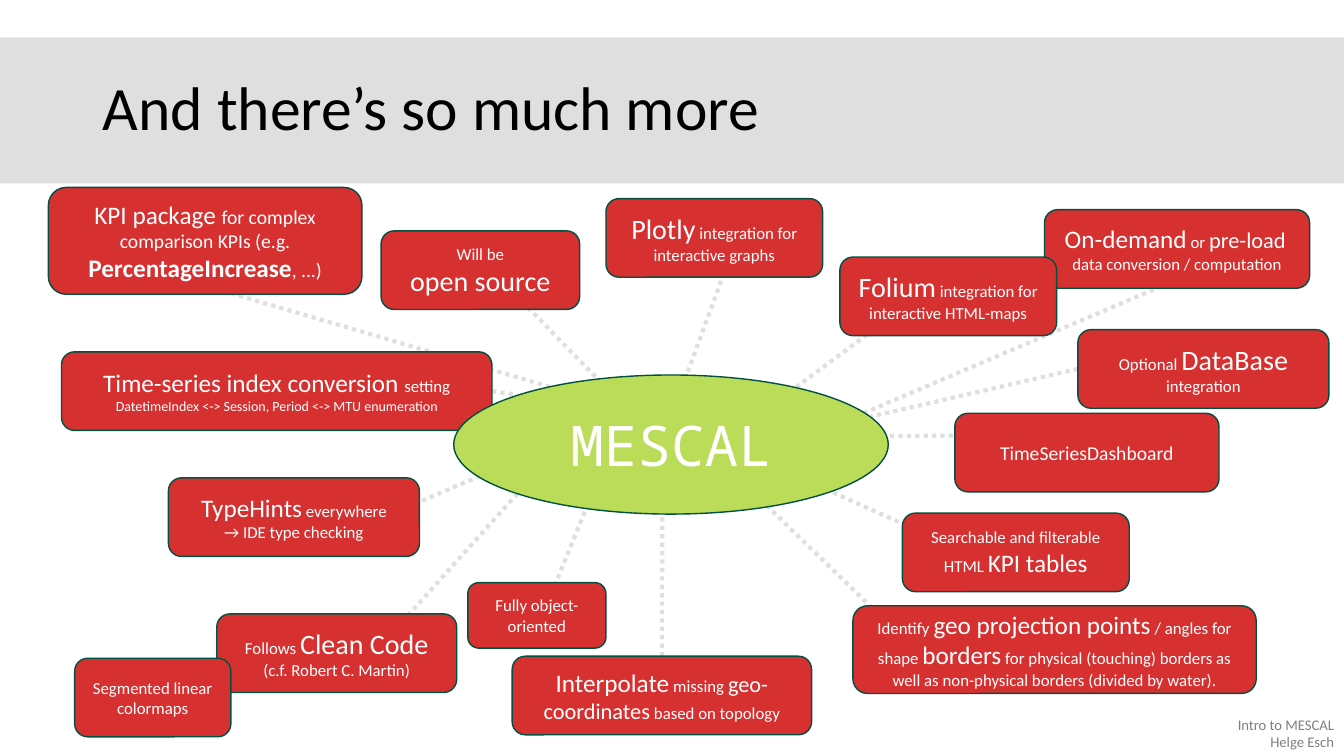
from copy import deepcopy
from dataclasses import dataclass
from typing import Optional

from lxml import etree
from pptx import Presentation
from pptx.dml.color import RGBColor
from pptx.enum import dml, shapes, text
from pptx.oxml.ns import qn
from pptx.util import Inches, Pt


# Theme
@dataclass(frozen=True)
class Theme:
    band: RGBColor = RGBColor(0xDF, 0xDF, 0xDF)
    topic: RGBColor = RGBColor(0xD6, 0x30, 0x30)
    hub: RGBColor = RGBColor(0xBA, 0xDC, 0x58)
    outline: RGBColor = RGBColor(0x00, 0x51, 0x40)
    light: RGBColor = RGBColor(0xFF, 0xFF, 0xFF)
    dark: RGBColor = RGBColor(0, 0, 0)
    muted: RGBColor = RGBColor(0x80, 0x80, 0x80)
    font: str = "Calibri"
    mono: str = "Noto Sans Mono"
    title: float = 44
    hub_size: float = 40
    huge: float = 20
    large: float = 18
    medium: float = 16
    normal: float = 14
    small: float = 12
    footer: float = 10.5
    tiny: float = 10


THEME = Theme()


# Content model
@dataclass(frozen=True)
class Span:
    words: str
    size: float = THEME.small
    bold: bool = False


@dataclass(frozen=True)
class Spoke:
    start: tuple[float, float]
    end: tuple[float, float]
    side: Optional[int] = None  # 0 top, 1 left, 2 bottom, 3 right


@dataclass(frozen=True)
class Topic:
    left: float
    top: float
    width: float
    paragraphs: list[list[Span]]
    spoke: Optional[Spoke] = None
    height: float = 0.78


# Topics from back to front
TOPICS = [
    Topic(10.36, 2.08, 2.63,
          [[Span("On-demand", THEME.large), Span(" or "), Span("pre-load", THEME.medium),
            Span(" \ndata conversion / computation")]],
          Spoke((11.52, 2.84), (8.35, 4.19))),
    Topic(8.33, 2.55, 2.15,
          [[Span("Folium", THEME.huge), Span(" integration for interactive HTML-maps")]],
          Spoke((8.6, 3.32), (7.79, 3.92))),
    Topic(6.01, 1.97, 2.15,
          [[Span("Plotly", THEME.huge), Span(" integration for interactive graphs")]],
          Spoke((7.21, 2.63), (6.66, 4.13))),
    Topic(9.47, 4.1, 2.62, [[Span("TimeSeriesDashboard", THEME.normal)]],
          Spoke((9.62, 4.32), (8.4, 4.33))),
    Topic(8.95, 5.09, 2.25,
          [[Span("Searchable and filterable HTML "), Span("KPI tables", THEME.large)]],
          Spoke((9.14, 5.28), (7.65, 4.61))),
    Topic(2.15, 6.09, 2.38,
          [[Span("Follows "), Span("Clean Code\n", THEME.huge), Span("(c.f. Robert C. Martin)")]],
          Spoke((3.71, 6.48), (5.13, 4.9))),
    Topic(1.67, 4.74, 2.49,
          [[Span("TypeHints", THEME.large), Span(" everywhere\n→ IDE type checking")]],
          Spoke((4.11, 5), (5.21, 4.53))),
    Topic(5.08, 6.51, 2.97,
          [[Span("Interpolate", THEME.large), Span(" missing "),
            Span("geo-coordinates", THEME.medium), Span(" based on topology")]],
          Spoke((6.57, 6.51), (6.57, 4.77), side=0)),
    Topic(8.46, 6.01, 4,
          [[Span("Identify "), Span("geo projection points", THEME.large),
            Span(" / angles for shape "), Span("borders", THEME.large),
            Span(" for physical (touching) borders as well as non-physical borders "
                 "(divided by water).")]],
          Spoke((8.71, 6.09), (7.27, 4.69)), height=0.87),
    Topic(3.78, 2.29, 1.97, [[Span("Will be\n"), Span("open source", THEME.huge)]],
          Spoke((4.83, 2.63), (6.16, 4))),
    Topic(0.61, 3.49, 4.27,
          [[Span("Time-series index conversion ", THEME.large), Span("setting")],
           [Span("DatetimeIndex <-> Session, Period <-> MTU enumeration", THEME.tiny)]],
          Spoke((4.88, 3.88), (5.13, 3.92), side=3)),
    Topic(10.69, 3.27, 2.49,
          [[Span("Optional "), Span("DataBase", THEME.huge), Span(" integration")]],
          Spoke((10.69, 3.66), (8, 4.28), side=1)),
    Topic(4.64, 5.78, 1.37, [[Span("Fully object-oriented")]],
          Spoke((5.47, 5.89), (5.83, 5)), height=0.65),
    Topic(0.48, 1.86, 3.11,
          [[Span("KPI package ", THEME.large),
            Span("for complex comparison KPIs (e.g. ", THEME.normal),
            Span("PercentageIncrease", THEME.large, bold=True), Span(", ...)", THEME.normal)]],
          Spoke((2.29, 2.91), (5.6, 3.88)), height=1.06),
    Topic(0.74, 6.53, 1.55, [[Span("Segmented linear colormaps")]]),
]
HUB = Topic(4.5, 3.72, 4.31, [[Span("MESCAL", THEME.hub_size)]], height=1.38)


# Drawing functions
def write(paragraph, spans: list[Span], color: RGBColor, font: str, align) -> None:
    """Add styled runs; a newline in a span becomes a line break of the same size."""
    paragraph.alignment = align
    for span in spans:
        for number, line in enumerate(span.words.split("\n")):
            if number:
                paragraph.add_line_break()
                paragraph._p[-1].append(deepcopy(run._r.rPr))
            if line:
                run = paragraph.add_run()
                run.text = line
                run.font.size = Pt(span.size)
                run.font.bold = span.bold
                run.font.name = font
                run.font.color.rgb = color


def draw_topic(slide, topic: Topic, preset=shapes.MSO_SHAPE.ROUNDED_RECTANGLE,
               fill: RGBColor = THEME.topic, font: str = THEME.font):
    box = slide.shapes.add_shape(preset, Inches(topic.left), Inches(topic.top),
                                 Inches(topic.width), Inches(topic.height))
    box.shadow.inherit = False
    box.fill.solid()
    box.fill.fore_color.rgb = fill
    box.line.color.rgb = THEME.outline
    box.line.width = Pt(1)
    frame = box.text_frame
    frame.word_wrap = True
    frame.vertical_anchor = text.MSO_ANCHOR.MIDDLE
    for number, spans in enumerate(topic.paragraphs):
        paragraph = frame.add_paragraph() if number else frame.paragraphs[0]
        write(paragraph, spans, THEME.light, font, text.PP_ALIGN.CENTER)
    return box


def draw_spoke(slide, spoke: Spoke, box, backdrop) -> None:
    """Draw a dotted line towards the hub, just above the backdrop."""
    link = slide.shapes.add_connector(shapes.MSO_CONNECTOR.STRAIGHT,
                                      *map(Inches, spoke.start + spoke.end))
    if spoke.side is not None:
        link.begin_connect(box, spoke.side)
    link.line.color.rgb = THEME.band
    link.line.width = Pt(3)
    link.line.dash_style = dml.MSO_LINE.ROUND_DOT
    etree.SubElement(link.element.spPr, qn("a:effectLst"))
    backdrop.element.addnext(link.element)


def draw_heading(slide):
    """Draw the title on its grey band and return the band."""
    band = slide.shapes.add_shape(shapes.MSO_SHAPE.RECTANGLE, 0, Inches(0.37),
                                  Inches(13.33), Inches(1.45))
    band.shadow.inherit = False
    band.fill.solid()
    band.fill.fore_color.rgb = THEME.band
    band.line.fill.background()

    title = slide.shapes.title
    title.left, title.top, title.width, title.height = map(Inches, (0.92, 0.37, 11.5, 1.45))
    title.text_frame.auto_size = text.MSO_AUTO_SIZE.NONE
    title.text_frame.vertical_anchor = text.MSO_ANCHOR.MIDDLE
    heading = title.text_frame.paragraphs[0]
    heading.line_spacing = 0.9
    write(heading, [Span("And there’s so much more", THEME.title)],
          THEME.dark, THEME.font, text.PP_ALIGN.LEFT)
    band.element.addnext(title.element)
    return band


def draw_footer(slide) -> None:
    footer = slide.shapes.add_textbox(*map(Inches, (11.14, 7.05, 2.19, 0.45)))
    footer.text_frame.word_wrap = True
    footer.text_frame.auto_size = text.MSO_AUTO_SIZE.SHAPE_TO_FIT_TEXT
    write(footer.text_frame.paragraphs[0], [Span("Intro to MESCAL\nHelge Esch", THEME.footer)],
          THEME.muted, THEME.font, text.PP_ALIGN.RIGHT)


def main() -> None:
    deck = Presentation()
    deck.slide_width, deck.slide_height = Inches(13.33), Inches(7.5)
    slide = deck.slides.add_slide(deck.slide_layouts[5])
    band = draw_heading(slide)
    draw_footer(slide)
    for topic in TOPICS:
        box = draw_topic(slide, topic)
        if topic.spoke:
            draw_spoke(slide, topic.spoke, box, band)
    draw_topic(slide, HUB, shapes.MSO_SHAPE.OVAL, THEME.hub, THEME.mono)
    deck.save("out.pptx")


if __name__ == "__main__":
    main()
